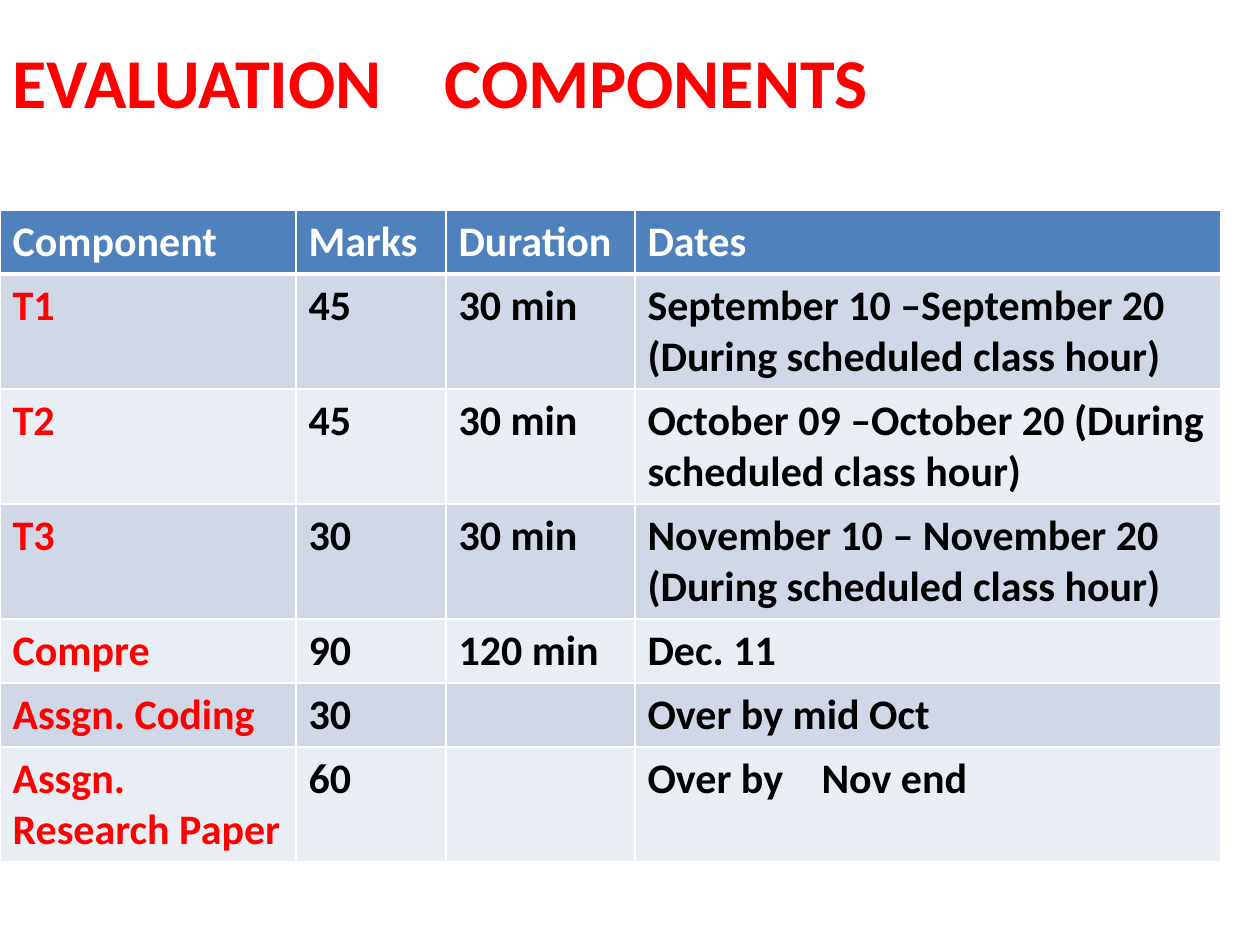
import pptx
import pptx.dml.color
import pptx.enum.text
import pptx.oxml
import pptx.oxml.ns
import pptx.util

EMU_PER_PX = 914400 / 126
COLORS = {
    "accent": "FF0000",
    "header": "4F81BD",
    "odd": "D0D8E8",
    "even": "E9EDF4",
    "white": "FFFFFF",
    "black": "000000",
}
NS = pptx.oxml.ns.nsdecls("a")


def px(length):
    return pptx.util.Emu(round(length * EMU_PER_PX))


def write(paragraph, text, size, color, tab=None):
    """Fill a paragraph with bold Calibri text; tab is a stop in px."""
    paragraph.text = text
    if tab:
        paragraph._p.get_or_add_pPr().append(pptx.oxml.parse_xml(
            f'<a:tabLst {NS}><a:tab pos="{px(tab)}" algn="l"/></a:tabLst>'))
    font = paragraph.font
    font.name = "Calibri"
    font.size = pptx.util.Pt(size)
    font.bold = True
    font.color.rgb = pptx.dml.color.RGBColor.from_string(COLORS[color])


prs = pptx.Presentation()
prs.slide_width, prs.slide_height = px(1260), px(945)
slide = prs.slides.add_slide(prs.slide_layouts[5])

# Title
title = slide.shapes.title
title.left, title.top, title.width, title.height = px(0), px(32), px(1207), px(97)
title.text_frame.vertical_anchor = pptx.enum.text.MSO_ANCHOR.TOP
title.text_frame.auto_size = pptx.enum.text.MSO_AUTO_SIZE.SHAPE_TO_FIT_TEXT
heading = title.text_frame.paragraphs[0]
heading.alignment = pptx.enum.text.PP_ALIGN.LEFT
write(heading, "EVALUATION\tCOMPONENTS", 40, "accent", tab=432)

# Evaluation schedule
schedule = [
    ("Component", "Marks", "Duration", "Dates"),
    ("T1", "45", "30 min", "September 10 –September 20 (During scheduled class hour)"),
    ("T2", "45", "30 min", "October 09 –October 20 (During scheduled class hour)"),
    ("T3", "30", "30 min", "November 10 – November 20 (During scheduled class hour)"),
    ("Compre", "90", "120 min", "Dec. 11"),
    ("Assgn. Coding", "30", "", "Over by mid Oct"),
    ("Assgn. Research Paper", "60", "", "Over by\tNov end"),
]
column_widths = [296, 150, 189, 586]
row_heights = [64, 115, 115, 115, 64, 64, 115]

table = slide.shapes.add_table(
    len(schedule), len(column_widths),
    px(0), px(210), px(sum(column_widths)), px(sum(row_heights))).table
for column, width in zip(table.columns, column_widths):
    column.width = px(width)
for row, height in zip(table.rows, row_heights):
    row.height = px(height)

for r, entries in enumerate(schedule):
    band = "header" if r == 0 else "odd" if r % 2 else "even"
    for c, entry in enumerate(entries):
        cell = table.cell(r, c)
        for side in "LRTB":
            thick = (r, side) in ((0, "B"), (1, "T"))
            line_width = pptx.util.Pt(3 if thick else 1)
            cell._tc.get_or_add_tcPr().append(pptx.oxml.parse_xml(
                f'<a:ln{side} {NS} w="{line_width}"><a:solidFill>'
                f'<a:srgbClr val="{COLORS["white"]}"/></a:solidFill></a:ln{side}>'))
        cell.fill.solid()
        cell.fill.fore_color.rgb = pptx.dml.color.RGBColor.from_string(COLORS[band])
        color = "white" if r == 0 else "accent" if c == 0 else "black"
        write(cell.text_frame.paragraphs[0], entry, 24, color,
              tab=174 if "\t" in entry else None)

prs.save("out.pptx")
